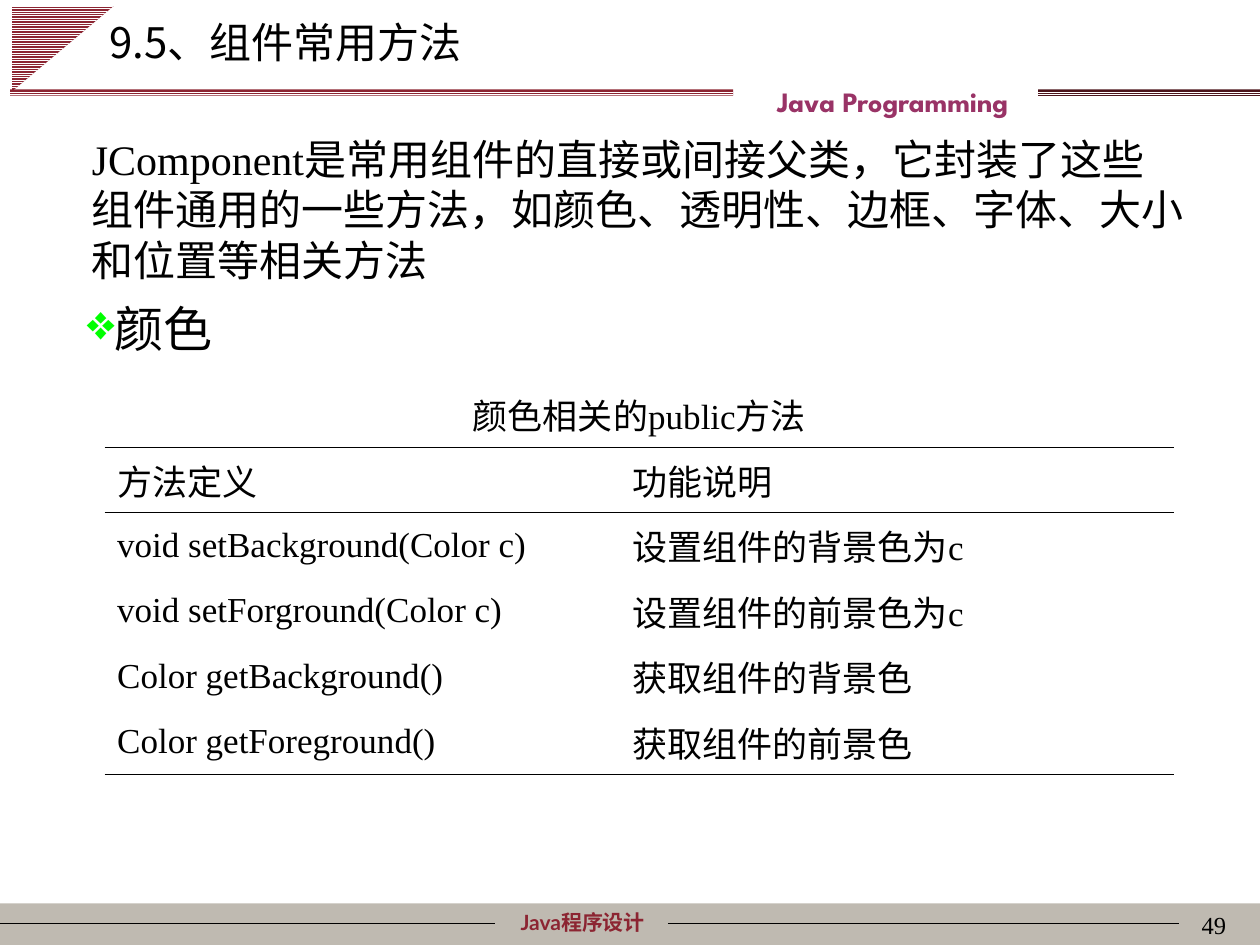
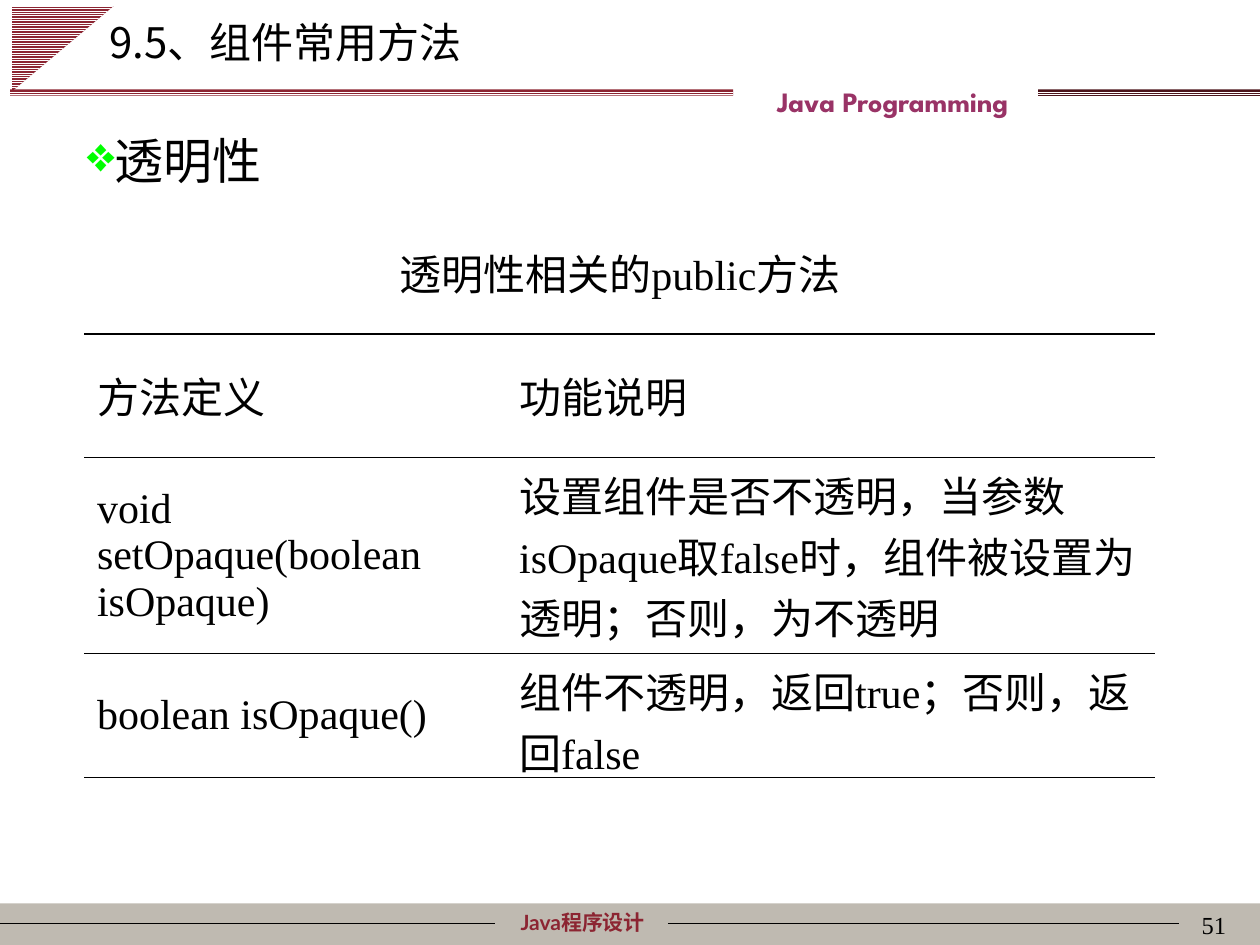
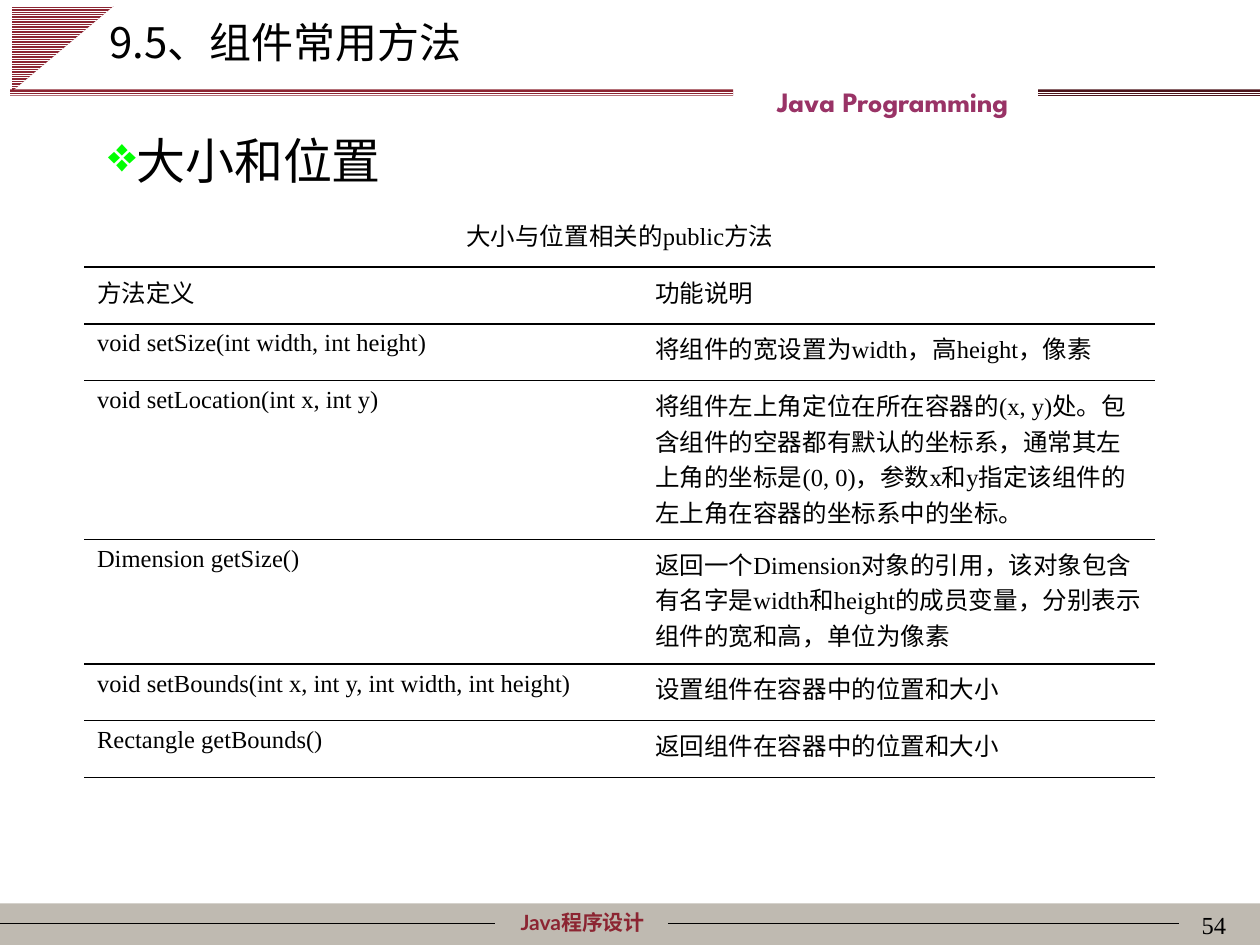
from dataclasses import dataclass
from typing import NamedTuple

from lxml.etree import SubElement
from pptx import Presentation
from pptx.dml.color import RGBColor
from pptx.enum.dml import MSO_PATTERN
from pptx.enum.shapes import MSO_CONNECTOR, MSO_SHAPE
from pptx.enum.text import MSO_ANCHOR, PP_ALIGN
from pptx.oxml.ns import qn
from pptx.util import Inches, Pt


@dataclass(frozen=True)
class Theme:
    black: str = "000000"
    white: str = "FFFFFF"
    maroon: str = "8C2532"
    dark_maroon: str = "4C141B"
    plum: str = "993366"
    footer_grey: str = "BFBAB1"
    bullet_green: str = "00FF00"
    body_font: str = "Times New Roman"
    cjk_font: str = "Noto Sans CJK SC"
    footer_font: str = "Lato"
    banner_font: str = "League Spartan"
    title_size: int = 24
    topic_size: int = 28
    banner_size: int = 16
    footer_size: int = 12
    number_size: int = 14


THEME = Theme()
TITLE = "9.5、组件常用方法"


class Box(NamedTuple):
    left: float
    top: float
    width: float
    height: float

    def emu(self) -> list:
        return [Inches(v) for v in self]


class Stripe(NamedTuple):
    kind: MSO_SHAPE
    box: Box
    color: str
    rotation: int = 0


@dataclass(frozen=True)
class MethodTable:
    left: float
    top: float
    columns: tuple
    heights: tuple
    size: int
    caption: str
    methods: tuple
    rules: dict  # row index -> width in points of the line below it
    anchor: MSO_ANCHOR = MSO_ANCHOR.MIDDLE


@dataclass(frozen=True)
class Page:
    number: int
    topic: str
    topic_box: Box
    table: MethodTable
    intro: str = ""


STRIPES = (
    Stripe(MSO_SHAPE.RIGHT_TRIANGLE, Box(0.16, -0.02, 0.68, 0.81), THEME.maroon, 90),
    Stripe(MSO_SHAPE.RECTANGLE, Box(8.24, 0.71, 1.76, 0.06), THEME.dark_maroon),
    Stripe(MSO_SHAPE.RECTANGLE, Box(0.08, 0.71, 5.74, 0.05), THEME.maroon),
)
FOOTER_LINES = ((0, 3.93), (5.3, 9.36))
INTRO_BOX = Box(0.63, 1.01, 8.88, 1.3)

PAGES = (
    Page(
        49, "颜色", Box(0.59, 2.32, 8.88, 0.57),
        MethodTable(
            0.83, 3.03, (4.09, 4.4), (0.52,) * 6, 20, "颜色相关的public方法",
            (
                ("void setBackground(Color c)", "设置组件的背景色为c"),
                ("void setForground(Color c)", "设置组件的前景色为c"),
                ("Color getBackground()", "获取组件的背景色"),
                ("Color getForeground()", "获取组件的前景色"),
            ),
            {0: 1, 1: 1, 5: 1},
        ),
        "JComponent是常用组件的直接或间接父类，它封装了这些组件通用的一些方法，"
        "如颜色、透明性、边框、字体、大小和位置等相关方法",
    ),
    Page(
        51, "透明性", Box(0.59, 0.99, 8.88, 0.57),
        MethodTable(
            0.67, 1.67, (3.35, 5.15), (0.98, 0.98, 1.56, 0.98), 24,
            "透明性相关的public方法",
            (
                ("void setOpaque(boolean isOpaque)",
                 "设置组件是否不透明，当参数isOpaque取false时，组件被设置为透明；否则，为不透明"),
                ("boolean isOpaque()", "组件不透明，返回true；否则，返回false"),
            ),
            {0: 1, 1: 1, 2: 0.75, 3: 1},
        ),
    ),
    Page(
        54, "大小和位置", Box(0.76, 0.99, 4.63, 0.57),
        MethodTable(
            0.67, 1.67, (4.43, 4.07), (0.45, 0.45, 0.45, 1.26, 0.99, 0.45, 0.45), 14,
            "大小与位置相关的public方法",
            (
                ("void setSize(int width, int height)",
                 "将组件的宽设置为width，高height，像素"),
                ("void setLocation(int x, int y)",
                 "将组件左上角定位在所在容器的(x, y)处。包含组件的空器都有默认的坐标系，"
                 "通常其左上角的坐标是(0, 0)，参数x和y指定该组件的左上角在容器的坐标系中的坐标。"),
                ("Dimension getSize()",
                 "返回一个Dimension对象的引用，该对象包含有名字是width和height的成员变量，"
                 "分别表示组件的宽和高，单位为像素"),
                ("void setBounds(int x, int y, int width, int height)",
                 "设置组件在容器中的位置和大小"),
                ("Rectangle getBounds()", "返回组件在容器中的位置和大小"),
            ),
            dict.fromkeys(range(7), 1),
            MSO_ANCHOR.TOP,
        ),
    ),
)


def rgb(color: str) -> RGBColor:
    return RGBColor.from_string(color)


def write(tf, text: str, *, size: float, font: str = THEME.body_font,
          east_asian: str = THEME.footer_font, color: str = THEME.black,
          bold: bool = False, align=PP_ALIGN.LEFT, bullet: str = "",
          spacing: float = 1.0) -> None:
    p = tf.paragraphs[0]
    p.alignment = align
    p.line_spacing = spacing
    if bullet:
        pPr = p._p.get_or_add_pPr()
        pPr.set("marL", "0")
        pPr.set("indent", "0")
        bu_color = SubElement(pPr, qn("a:buClr"))
        SubElement(bu_color, qn("a:srgbClr"), val=THEME.bullet_green)
        SubElement(pPr, qn("a:buChar"), char=bullet)
    r = p.add_run()
    r.text = text
    r.font.size = Pt(size)
    r.font.bold = bold
    r.font.color.rgb = rgb(color)
    r.font.name = font
    SubElement(r._r.get_or_add_rPr(), qn("a:ea"), typeface=east_asian)


def add_text(slide, box: Box, text: str, *, anchor=MSO_ANCHOR.TOP,
             inset_top: float = 0.05, **style) -> None:
    tf = slide.shapes.add_textbox(*box.emu()).text_frame
    tf.word_wrap = True
    tf.vertical_anchor = anchor
    tf.margin_top = Inches(inset_top)
    write(tf, text, **style)


def add_shape(slide, kind: MSO_SHAPE, box: Box):
    sp = slide.shapes.add_shape(kind, *box.emu())
    sp.shadow.inherit = False
    sp.line.fill.background()
    return sp


def add_stripe(slide, stripe: Stripe) -> None:
    sp = add_shape(slide, stripe.kind, stripe.box)
    sp.rotation = stripe.rotation
    sp.fill.patterned()
    sp.fill.pattern = MSO_PATTERN.LIGHT_HORIZONTAL
    sp.fill.fore_color.rgb = rgb(THEME.white)
    sp.fill.back_color.rgb = rgb(stripe.color)


def add_line(slide, start: float, end: float, y: float) -> None:
    line = slide.shapes.add_connector(
        MSO_CONNECTOR.STRAIGHT, Inches(start), Inches(y), Inches(end), Inches(y))
    line.line.color.rgb = rgb(THEME.black)
    line.line.width = Pt(0.75)
    SubElement(line._element.spPr, qn("a:effectLst"))


def add_frame(slide, number: int) -> None:
    """Draw the title, header stripes and footer that every slide carries."""
    band = add_shape(slide, MSO_SHAPE.RECTANGLE, Box(0, 7.17, 10, 0.33))
    band.fill.solid()
    band.fill.fore_color.rgb = rgb(THEME.footer_grey)
    add_text(slide, Box(3.62, 7.17, 2.01, 0.3), "Java程序设计", size=THEME.footer_size,
             font=THEME.footer_font, color=THEME.maroon, bold=True, align=PP_ALIGN.CENTER)
    for start, end in FOOTER_LINES:
        add_line(slide, start, end, 7.33)
    for stripe in STRIPES:
        add_stripe(slide, stripe)
    add_text(slide, Box(5.08, 0.55, 4.01, 0.37), "Java Programming", inset_top=0.12,
             size=THEME.banner_size, font=THEME.banner_font, color=THEME.plum,
             bold=True, align=PP_ALIGN.CENTER)
    add_text(slide, Box(7.75, 7.17, 2.08, 0.5), str(number),
             size=THEME.number_size, align=PP_ALIGN.RIGHT)
    add_text(slide, Box(0.77, 0.13, 8.5, 0.5), TITLE, size=THEME.title_size,
             font=THEME.cjk_font, east_asian=THEME.cjk_font, spacing=0.9)


def set_border(cell, edge: str, width: float) -> None:
    """Give one edge (L, R, T or B) a black line, or none when width is 0."""
    tcPr = cell._tc.get_or_add_tcPr()
    ln = SubElement(tcPr, qn(f"a:ln{edge}"), w=str(Pt(width)))
    if width:
        fill = SubElement(ln, qn("a:solidFill"))
        SubElement(fill, qn("a:srgbClr"), val=THEME.black)
    else:
        SubElement(ln, qn("a:noFill"))


def add_method_table(slide, spec_table: MethodTable) -> None:
    t = spec_table
    rows = ((t.caption, ""), ("方法定义", "功能说明"), *t.methods)
    box = Box(t.left, t.top, sum(t.columns), sum(t.heights))
    table = slide.shapes.add_table(len(rows), len(t.columns), *box.emu()).table
    table.first_row = table.horz_banding = False
    for column, width in zip(table.columns, t.columns):
        column.width = Inches(width)
    for row, height in zip(table.rows, t.heights):
        row.height = Inches(height)
    table.cell(0, 0).merge(table.cell(0, 1))
    for i, texts in enumerate(rows):
        for j, text in enumerate(texts):
            cell = table.cell(i, j)
            cell.vertical_anchor = t.anchor
            for edge, width in (("L", 0), ("R", 0), ("T", t.rules.get(i - 1, 0)),
                                ("B", t.rules.get(i, 0))):
                set_border(cell, edge, width)
            cell.fill.background()
            if text:
                write(cell.text_frame, text, size=t.size, east_asian=THEME.cjk_font,
                      align=PP_ALIGN.LEFT if i else PP_ALIGN.CENTER)


def add_page(prs, page: Page) -> None:
    slide = prs.slides.add_slide(prs.slide_layouts[6])
    add_frame(slide, page.number)
    if page.intro:
        add_text(slide, INTRO_BOX, page.intro, size=THEME.title_size,
                 anchor=MSO_ANCHOR.MIDDLE)
    add_text(slide, page.topic_box, page.topic, size=THEME.topic_size, bullet="❖")
    add_method_table(slide, page.table)


def main() -> None:
    prs = Presentation()
    prs.slide_width, prs.slide_height = Inches(10), Inches(7.5)
    for page in PAGES:
        add_page(prs, page)
    prs.save("out.pptx")


if __name__ == "__main__":
    main()
